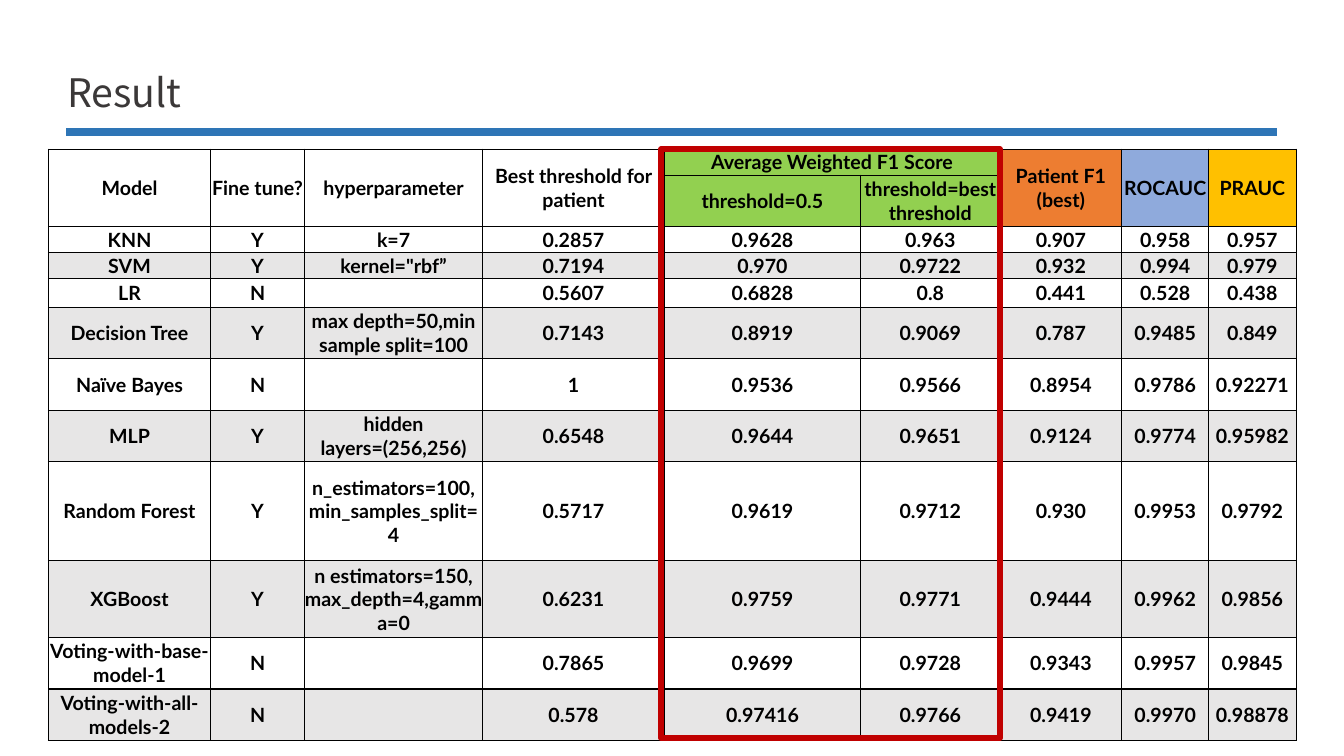
from lxml.etree import SubElement
from pptx import Presentation
from pptx.dml.color import RGBColor
from pptx.enum.shapes import MSO_CONNECTOR as CONN, MSO_SHAPE as SHAPE
from pptx.enum.text import MSO_ANCHOR as ANCHOR, MSO_AUTO_SIZE as AUTO, PP_ALIGN as ALIGN
from pptx.oxml.ns import qn
from pptx.util import Pt

COLS = [115.92, 66.96, 127.44, 129.6, 140.4, 99.36, 87.12, 61.92, 62.64]
ROWS = [18.5, 36.8, 18.5, 18.5, 20.7, 36.8, 36.8, 36.8, 70.6, 54.8, 36.8, 36.8]
TABLE_LEFT, TABLE_TOP = 34.6, 106.6
GREEN, GREY = "92D050", "E7E6E6"
HEADER_FILLS = {4: GREEN, 5: GREEN, 6: "ED7D31", 7: "8FAADC", 8: "FFC000"}
TITLE_FONT = {"name": "Noto Sans CJK SC", "size": Pt(28), "bold": False}
CELL_FONT = {"name": "Lato", "size": Pt(14), "bold": True}
CELL_FORMAT = {"margin_left": 0, "margin_right": 0, "margin_top": 0,
               "margin_bottom": 0, "vertical_anchor": ANCHOR.MIDDLE}
RESULTS = [
    ["Model", "Fine tune?", "hyperparameter", "Best threshold for patient",
     "Average Weighted F1 Score", "", "Patient F1 (best)", "ROCAUC", "PRAUC"],
    ["", "", "", "", "threshold=0.5", "threshold=best threshold", "", "", ""],
    ["KNN", "Y", "k=7", "0.2857", "0.9628", "0.963", "0.907", "0.958", "0.957"],
    ["SVM", "Y", 'kernel="rbf”', "0.7194", "0.970", "0.9722", "0.932", "0.994", "0.979"],
    ["LR", "N", "", "0.5607", "0.6828", "0.8", "0.441", "0.528", "0.438"],
    ["Decision Tree", "Y", "max depth=50,min sample split=100",
     "0.7143", "0.8919", "0.9069", "0.787", "0.9485", "0.849"],
    ["Naïve Bayes", "N", "", "1", "0.9536", "0.9566", "0.8954", "0.9786", "0.92271"],
    ["MLP", "Y", "hidden layers=(256,256)",
     "0.6548", "0.9644", "0.9651", "0.9124", "0.9774", "0.95982"],
    ["Random Forest", "Y", "n_estimators=100, min_samples_split=4",
     "0.5717", "0.9619", "0.9712", "0.930", "0.9953", "0.9792"],
    ["XGBoost", "Y", "n estimators=150, max_depth=4,gamma=0",
     "0.6231", "0.9759", "0.9771", "0.9444", "0.9962", "0.9856"],
    ["Voting-with-base-model-1", "N", "",
     "0.7865", "0.9699", "0.9728", "0.9343", "0.9957", "0.9845"],
    ["Voting-with-all-models-2", "N", "",
     "0.578", "0.97416", "0.9766", "0.9419", "0.9970", "0.98878"],
]


def rgb(color):
    """Turn a hex string into a colour."""
    return RGBColor.from_string(color)


def set_attrs(obj, values):
    """Set each attribute named in a dict."""
    for name, value in values.items():
        setattr(obj, name, value)


def write(tf, text, font, color, align):
    """Write one formatted run into a text frame."""
    p = tf.paragraphs[0]
    p.alignment = align
    r = p.add_run()
    r.text = text
    set_attrs(r.font, font)
    r.font.color.rgb = rgb(color)


def add_title(slide, text):
    """Place and fill the title placeholder."""
    sp = slide.shapes.title
    set_attrs(sp, {"left": Pt(41), "top": Pt(35.3), "width": Pt(541.4), "height": Pt(50.4)})
    set_attrs(sp.text_frame, {"vertical_anchor": ANCHOR.BOTTOM, "auto_size": AUTO.NONE})
    write(sp.text_frame, text, TITLE_FONT, "3B3838", ALIGN.LEFT)


def add_rule(slide, left, right, y, color, width):
    """Draw a horizontal rule."""
    line = slide.shapes.add_connector(CONN.STRAIGHT, Pt(left), Pt(y), Pt(right), Pt(y))
    line.line.color.rgb = rgb(color)
    line.line.width = Pt(width)
    SubElement(line._element.spPr, qn("a:effectLst"))


def add_borders(cell, color, width):
    """Give a cell a solid border on all four sides."""
    tc_pr = cell._tc.get_or_add_tcPr()
    for side in "LRTB":
        ln = SubElement(tc_pr, qn(f"a:ln{side}"), w=str(Pt(width)))
        fill = SubElement(ln, qn("a:solidFill"))
        SubElement(fill, qn("a:srgbClr"), val=color)


def format_cell(cell, text, color):
    """Format, fill and write one table cell."""
    set_attrs(cell, CELL_FORMAT)
    add_borders(cell, "000000", 1)
    if color:
        cell.fill.solid()
        cell.fill.fore_color.rgb = rgb(color)
    else:
        cell.fill.background()
    write(cell.text_frame, text, CELL_FONT, "000000", ALIGN.CENTER)


def add_results(slide):
    """Add the table of model scores."""
    table = slide.shapes.add_table(len(ROWS), len(COLS), Pt(TABLE_LEFT), Pt(TABLE_TOP),
                                   Pt(sum(COLS)), Pt(sum(ROWS))).table
    set_attrs(table, {"first_row": False, "horz_banding": False})
    for column, width in zip(table.columns, COLS):
        column.width = Pt(width)
    for i, (row, height) in enumerate(zip(table.rows, ROWS)):
        row.height = Pt(height)
        for j, cell in enumerate(row.cells):
            band = GREY if i % 2 else None
            format_cell(cell, RESULTS[i][j], HEADER_FILLS.get(j) if i < 2 else band)
    table.cell(0, 4).merge(table.cell(0, 5))
    for j in (0, 1, 2, 3, 6, 7, 8):
        table.cell(0, j).merge(table.cell(1, j))


def add_frame(slide, left, top, width, height, color, weight):
    """Draw an unfilled highlight frame."""
    sp = slide.shapes.add_shape(SHAPE.RECTANGLE, Pt(left), Pt(top), Pt(width), Pt(height))
    sp.shadow.inherit = False
    sp.fill.background()
    sp.line.color.rgb = rgb(color)
    sp.line.width = Pt(weight)


def main():
    """Build the result slide."""
    prs = Presentation()
    set_attrs(prs, {"slide_width": Pt(960), "slide_height": Pt(540)})
    slide = prs.slides.add_slide(prs.slide_layouts[5])
    add_title(slide, "Result")
    add_rule(slide, 47.5, 912.2, 94.3, "2E75B6", 6)
    add_results(slide)
    add_frame(slide, 472.3, TABLE_TOP, 241.9, 420.5, "C00000", 4.5)
    prs.save("out.pptx")


if __name__ == "__main__":
    main()
